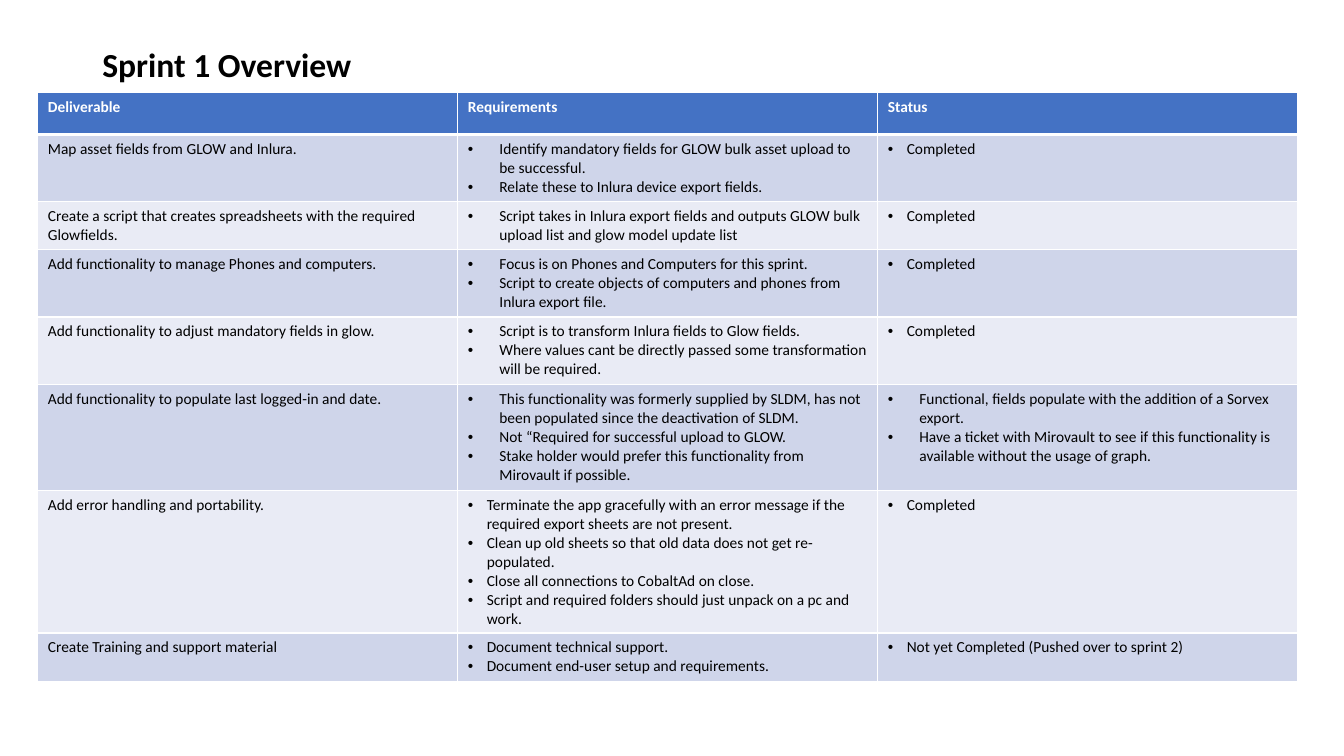
from dataclasses import dataclass

from lxml import etree
from pptx import Presentation
from pptx import util as u
from pptx.dml.color import RGBColor
from pptx.enum import text
from pptx.oxml import ns

PX = 9525
FONT = "Calibri"
BLACK = RGBColor(0x00, 0x00, 0x00)
WHITE = RGBColor(0xFF, 0xFF, 0xFF)
HEADER_BLUE = RGBColor(0x44, 0x72, 0xC4)
BANDS = (RGBColor(0xCF, 0xD5, 0xEA), RGBColor(0xE9, 0xEB, 0xF5))

TABLE_LEFT, TABLE_TOP = 36, 88
COLUMN_WIDTH = 400
HEADER_HEIGHT = 40
WIDE, NARROW = 30, 18
THIN_LINE, THICK_LINE = 1, 3
HEADINGS = ("Deliverable", "Requirements", "Status")


@dataclass(frozen=True)
class Entry:
    lines: tuple[str, ...]
    indent: int = 0


COMPLETED = Entry(("Completed",), NARROW)


@dataclass(frozen=True)
class Task:
    height: int
    deliverable: str
    requirements: Entry
    status: Entry = COMPLETED


TASKS = (
    Task(64, "Map asset fields from GLOW and Inlura.", Entry((
        "Identify mandatory fields for GLOW bulk asset upload to be successful.",
        "Relate these to Inlura device export fields.",
    ), WIDE)),
    Task(46, "Create a script that creates spreadsheets with the required Glowfields.", Entry((
        "Script takes in Inlura export fields and outputs GLOW bulk upload list and glow model update list",
    ), WIDE)),
    Task(64, "Add functionality to manage Phones and computers.", Entry((
        "Focus is on Phones and Computers for this sprint.",
        "Script to create objects of computers and phones from Inlura export file.",
    ), WIDE)),
    Task(64, "Add functionality to adjust mandatory fields in glow.", Entry((
        "Script is to transform Inlura fields to Glow fields.",
        "Where values cant be directly passed some transformation will be required.",
    ), WIDE)),
    Task(101, "Add functionality to populate last logged-in and date.", Entry((
        "This functionality was formerly supplied by SLDM, has not been populated since the deactivation of SLDM.",
        "Not “Required for successful upload to GLOW.",
        "Stake holder would prefer this functionality from Mirovault if possible.",
    ), WIDE), Entry((
        "Functional, fields populate with the addition of a Sorvex export.",
        "Have a ticket with Mirovault to see if this functionality is available without the usage of graph.",
    ), WIDE)),
    Task(136, "Add error handling and portability.", Entry((
        "Terminate the app gracefully with an error message if the required export sheets are not present.",
        "Clean up old sheets so that old data does not get re-populated.",
        "Close all connections to CobaltAd on close.",
        "Script and required folders should just unpack on a pc and work.",
    ), NARROW)),
    Task(46, "Create Training and support material", Entry((
        "Document technical support.",
        "Document end-user setup and requirements.",
    ), NARROW), Entry(("Not yet Completed (Pushed over to sprint 2)",), NARROW)),
)


def px(length: int) -> u.Emu:
    return u.Emu(length * PX)


def add_span(para, words: str, size: int, color: RGBColor, bold: bool) -> None:
    span = para.add_run()
    span.text = words
    span.font.name = FONT
    span.font.size = u.Pt(size)
    span.font.bold = bold
    span.font.color.rgb = color


def add_bullet(para, indent: int) -> None:
    properties = para._p.get_or_add_pPr()
    properties.set("marL", str(px(indent)))
    properties.set("indent", str(px(-indent)))
    etree.SubElement(properties, ns.qn("a:buFont")).set("typeface", "Arial")
    etree.SubElement(properties, ns.qn("a:buChar")).set("char", "•")


def add_borders(cell, top: int, bottom: int) -> None:
    properties = cell._tc.get_or_add_tcPr()
    widths = {"lnL": THIN_LINE, "lnR": THIN_LINE, "lnT": top, "lnB": bottom}
    for side, width in widths.items():
        line = etree.SubElement(properties, ns.qn(f"a:{side}"), w=str(u.Pt(width)))
        fill = etree.SubElement(line, ns.qn("a:solidFill"))
        etree.SubElement(fill, ns.qn("a:srgbClr"), val=str(WHITE))


def fill_cell(cell, entry: Entry, row: int) -> None:
    header = row == 0
    add_borders(
        cell,
        THICK_LINE if row == 1 else THIN_LINE,
        THICK_LINE if header else THIN_LINE,
    )
    cell.fill.solid()
    cell.fill.fore_color.rgb = HEADER_BLUE if header else BANDS[(row - 1) % 2]
    frame = cell.text_frame
    for index, words in enumerate(entry.lines):
        para = frame.add_paragraph() if index else frame.paragraphs[0]
        if entry.indent:
            add_bullet(para, entry.indent)
        add_span(para, words, 11, WHITE if header else BLACK, header)


def add_title(page) -> None:
    box = page.shapes.add_textbox(px(88), px(38), px(1104), px(50))
    frame = box.text_frame
    frame.word_wrap = True
    frame.vertical_anchor = text.MSO_ANCHOR.MIDDLE
    para = frame.paragraphs[0]
    para.line_spacing = 0.9
    add_span(para, "Sprint 1 Overview", 24, BLACK, True)


def add_task_table(page) -> None:
    heights = [HEADER_HEIGHT] + [task.height for task in TASKS]
    grid = [[Entry((heading,)) for heading in HEADINGS]]
    grid += [[Entry((task.deliverable,)), task.requirements, task.status] for task in TASKS]
    table = page.shapes.add_table(
        len(grid), len(HEADINGS), px(TABLE_LEFT), px(TABLE_TOP),
        px(COLUMN_WIDTH * len(HEADINGS)), px(sum(heights)),
    ).table
    for column in table.columns:
        column.width = px(COLUMN_WIDTH)
    for row, (height, entries) in enumerate(zip(heights, grid)):
        table.rows[row].height = px(height)
        for column, entry in enumerate(entries):
            fill_cell(table.cell(row, column), entry, row)


def main() -> None:
    deck = Presentation()
    deck.slide_width = px(1280)
    deck.slide_height = px(720)
    page = deck.slides.add_slide(deck.slide_layouts[6])
    add_title(page)
    add_task_table(page)
    deck.save("out.pptx")


if __name__ == "__main__":
    main()
